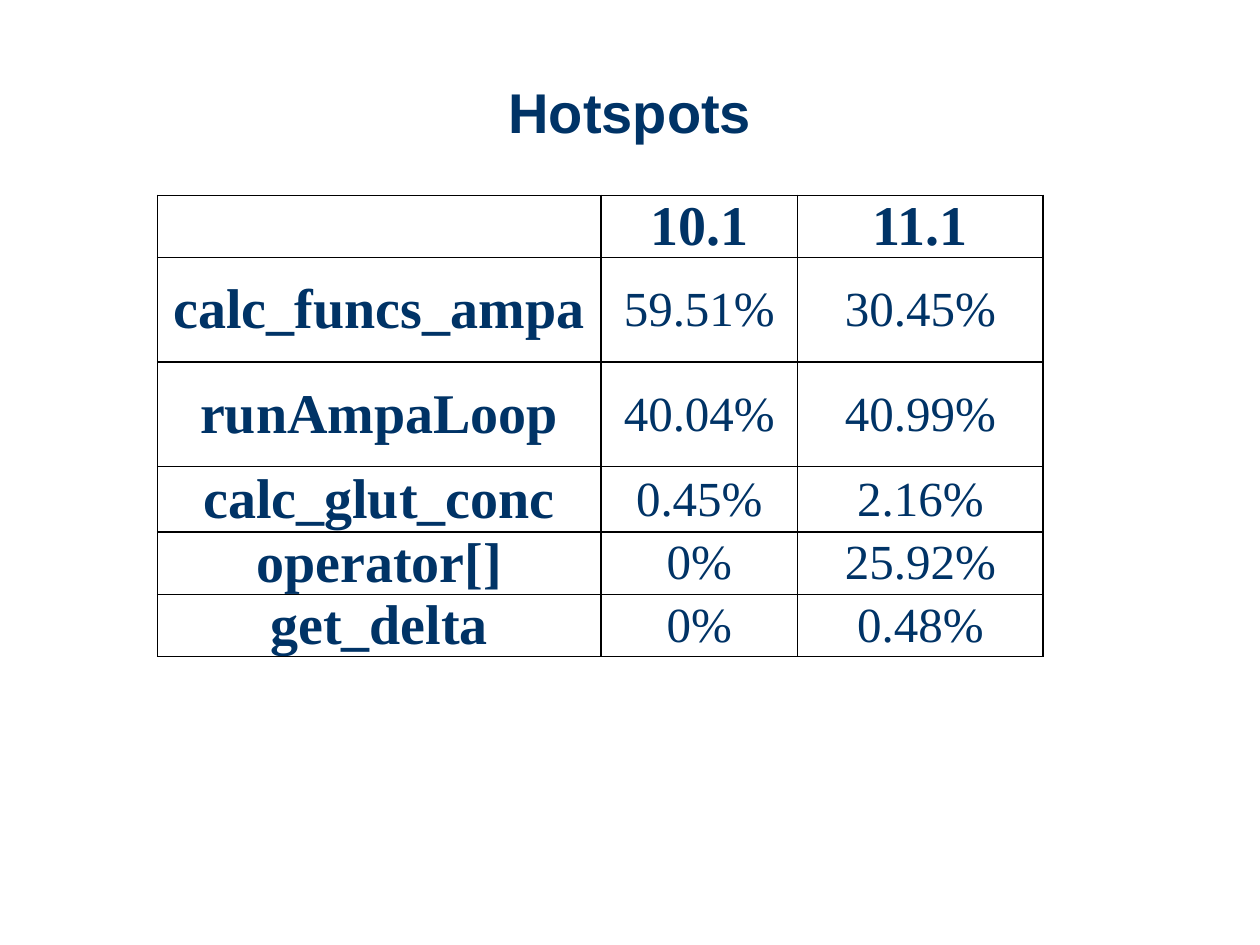
from lxml import etree
from pptx import Presentation
from pptx import util as u
from pptx.dml.color import RGBColor
from pptx.enum import text
from pptx.oxml.ns import qn

NAVY = RGBColor(0x00, 0x33, 0x66)
BLACK = RGBColor(0x00, 0x00, 0x00)

TITLE = dict(name="Arial", size=u.Pt(32), bold=True)
HEADING = dict(name="Times New Roman", size=u.Pt(32), bold=True)
VALUE = dict(name="Times New Roman", size=u.Pt(28), bold=False)
CELL = dict(margin_left=u.Inches(0.07), margin_right=u.Inches(0.07),
            margin_top=0, margin_bottom=0,
            vertical_anchor=text.MSO_ANCHOR.MIDDLE)

COL_WIDTHS = [3.52, 1.56, 1.95]
ROW_HEIGHTS = [0.47, 0.83, 0.83, 0.52, 0.47, 0.47]
HOTSPOTS = [
    ["", "10.1", "11.1"],
    ["calc_funcs_ampa", "59.51%", "30.45%"],
    ["runAmpaLoop", "40.04%", "40.99%"],
    ["calc_glut_conc", "0.45%", "2.16%"],
    ["operator[]", "0%", "25.92%"],
    ["get_delta", "0%", "0.48%"],
]


def set_attrs(obj, values):
    for name, value in values.items():
        setattr(obj, name, value)


def write(tf, content, font):
    """Put one centred navy paragraph in a text frame."""
    p = tf.paragraphs[0]
    p.alignment = text.PP_ALIGN.CENTER
    r = p.add_run()
    r.text = content
    set_attrs(r.font, font)
    r.font.color.rgb = NAVY
    return p


def add_borders(cell):
    """Draw a thin black line on all four sides of a cell."""
    tc_pr = cell._tc.get_or_add_tcPr()
    for i, side in enumerate(("lnL", "lnR", "lnT", "lnB")):
        ln = etree.Element(qn(f"a:{side}"), w=str(u.Pt(1)))
        fill = etree.SubElement(ln, qn("a:solidFill"))
        etree.SubElement(fill, qn("a:srgbClr"), val=str(BLACK))
        tc_pr.insert(i, ln)


def add_title(s, content):
    sp = s.shapes.title
    set_attrs(sp, dict(left=u.Inches(0.5), top=u.Inches(0.3),
                       width=u.Inches(9), height=u.Inches(1.25)))
    sp.text_frame.vertical_anchor = text.MSO_ANCHOR.MIDDLE
    write(sp.text_frame, content, TITLE).line_spacing = 0.85


def add_hotspot_table(s):
    frame = s.shapes.add_table(
        len(ROW_HEIGHTS), len(COL_WIDTHS), u.Inches(1.25), u.Inches(1.55),
        u.Inches(sum(COL_WIDTHS)), u.Inches(sum(ROW_HEIGHTS)))
    table = frame.table
    set_attrs(table, dict(first_row=False, horz_banding=False))
    for col, width in zip(table.columns, COL_WIDTHS):
        col.width = u.Inches(width)
    for row, height in zip(table.rows, ROW_HEIGHTS):
        row.height = u.Inches(height)
    for i, values in enumerate(HOTSPOTS):
        for j, value in enumerate(values):
            cell = table.cell(i, j)
            set_attrs(cell, CELL)
            cell.fill.background()
            add_borders(cell)
            if value:
                # Version row and function column are headings
                write(cell.text_frame, value,
                      HEADING if i == 0 or j == 0 else VALUE)


def main():
    prs = Presentation()
    prs.slide_width, prs.slide_height = u.Inches(10), u.Inches(7.5)
    s = prs.slides.add_slide(prs.slide_layouts.get_by_name("Title Only"))
    add_title(s, "Hotspots")
    add_hotspot_table(s)
    prs.save("out.pptx")


if __name__ == "__main__":
    main()
